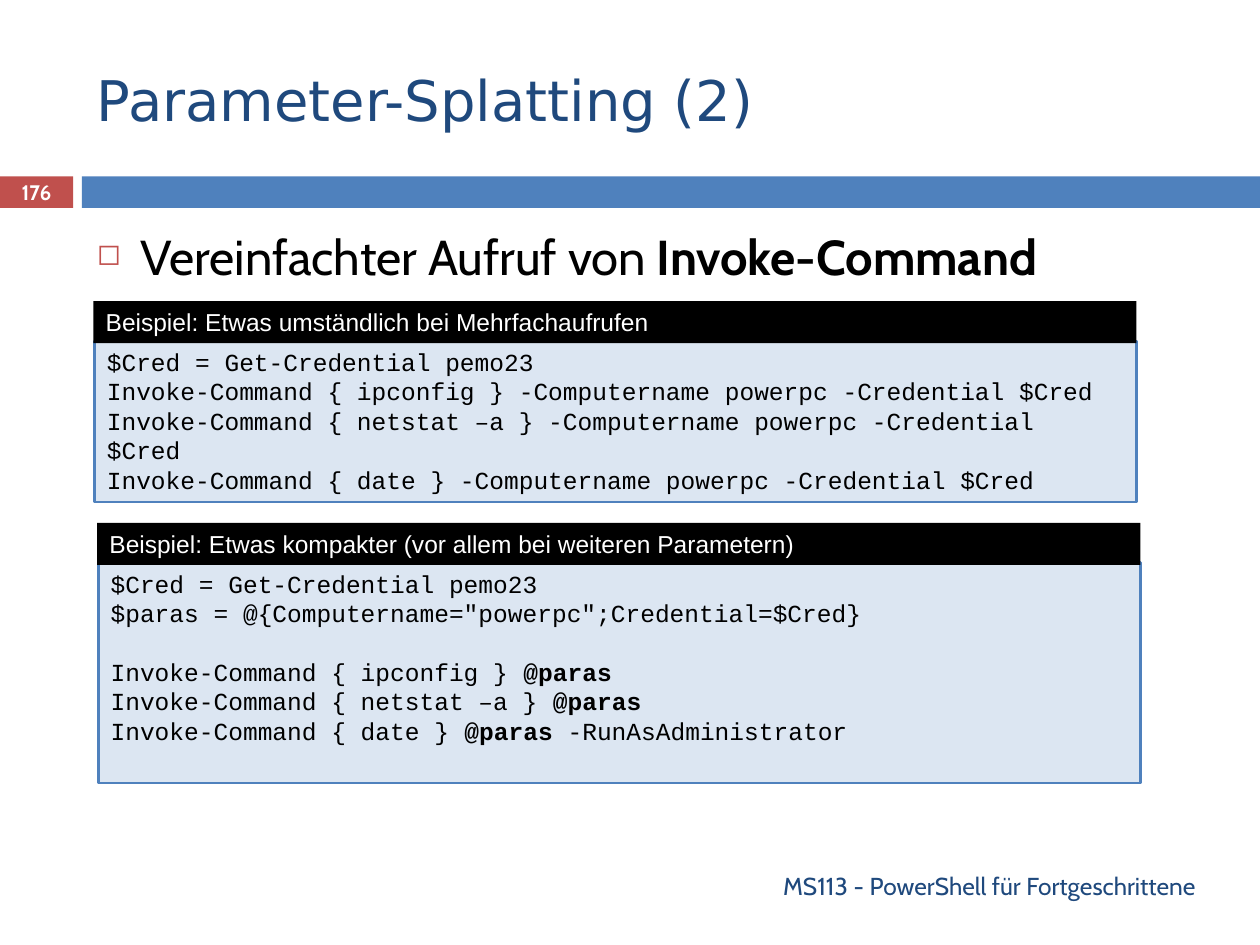
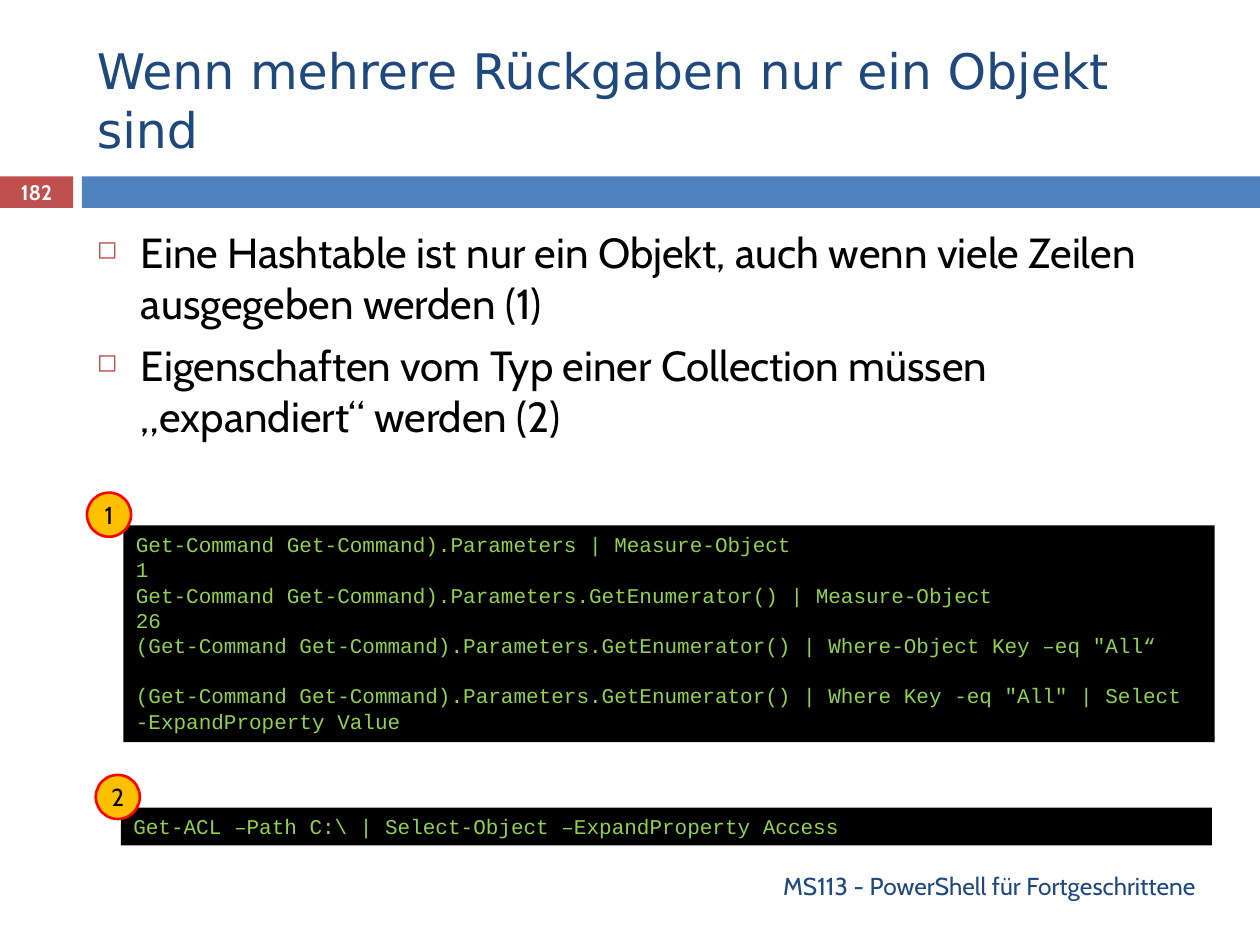
"""Build two slides on splatting and return objects."""
from dataclasses import dataclass
from typing import NamedTuple

from lxml import etree
from pptx import Presentation
from pptx.dml.color import RGBColor
from pptx.enum.shapes import MSO_SHAPE
from pptx.enum.text import MSO_ANCHOR, PP_ALIGN
from pptx.oxml.ns import qn
from pptx.util import Pt

RECT, OVAL = MSO_SHAPE.RECTANGLE, MSO_SHAPE.OVAL
TOP, MIDDLE = MSO_ANCHOR.TOP, MSO_ANCHOR.MIDDLE
LEFT, CENTER, RIGHT = PP_ALIGN.LEFT, PP_ALIGN.CENTER, PP_ALIGN.RIGHT


class Style(NamedTuple):
    """Font, size and colour of a text, with its leading if fixed."""
    font: str
    size: float
    color: str
    lead: float = 0


class Box(NamedTuple):
    """Place of an element in points."""
    left: float
    top: float
    width: float
    height: float

    def lengths(self) -> list:
        """Return the place as lengths."""
        return [Pt(side) for side in self]


@dataclass(frozen=True)
class Theme:
    """Colours, type and places that the slides share."""
    red: str = "C0504D"
    blue: str = "4F81BD"
    pale: str = "DCE6F2"
    black: str = "000000"
    amber: str = "FFC000"
    ring: str = "FF0000"
    title: Style = Style("DejaVu Sans", 32, "1F497D")
    long_title: Style = Style("DejaVu Sans", 28, "1F497D")
    body: Style = Style("Cabin", 28, "000000")
    dense: Style = Style("Cabin", 24, "000000")
    foot: Style = Style("Cabin", 14, "1F497D")
    page: Style = Style("Cabin", 12, "FFFFFF")
    badge: Style = Style("Cabin", 14, "000000")
    label: Style = Style("Arial", 14, "FFFFFF")
    code: Style = Style("Courier New", 14, "000000", 16.8)
    shell: Style = Style("Courier New", 12, "92D050", 14.4)
    line: float = 1.5
    indent: float = 25.2
    gap: float = 7
    tag: Box = Box(0, 100.8, 41.8, 18)
    band: Box = Box(46.8, 100.8, 673.2, 18)
    head_at: Box = Box(48.24, 18, 642.24, 77.76)
    body_at: Box = Box(48.24, 126, 642.24, 354.24)
    foot_at: Box = Box(48.24, 491.76, 642.24, 28.8)


THEME = Theme()


class Sample(NamedTuple):
    """Code panel under a black label."""
    left: float
    top: float
    height: float
    label: str
    code: list[str]


class Shell(NamedTuple):
    """Black console with a numbered badge at its corner."""
    box: Box
    badge: tuple[float, float]
    mark: str
    code: list[str]


class Page(NamedTuple):
    """Content of one slide."""
    number: int
    title: str
    head: Style
    points: list[str]
    body: Style
    blocks: list[Sample | Shell]


PAGES = [
    Page(176, "Parameter-Splatting (2)", THEME.title,
         ["Vereinfachter Aufruf von **Invoke-Command**"], THEME.body, [
             Sample(53.28, 172.08, 92.16, "Beispiel: Etwas umständlich bei Mehrfachaufrufen", [
                 "$Cred = Get-Credential pemo23",
                 "Invoke-Command { ipconfig } -Computername powerpc -Credential $Cred",
                 "Invoke-Command { netstat –a } -Computername powerpc -Credential $Cred",
                 "Invoke-Command { date } -Computername powerpc -Credential $Cred"]),
             Sample(55.44, 298.8, 126,
                    "Beispiel: Etwas kompakter (vor allem bei weiteren Parametern)", [
                        "$Cred = Get-Credential pemo23",
                        '$paras = @{Computername="powerpc";Credential=$Cred}',
                        "",
                        "Invoke-Command { ipconfig } **@paras**",
                        "Invoke-Command { netstat –a } **@paras**",
                        "Invoke-Command { date } **@paras** -RunAsAdministrator"])]),
    Page(182, "Wenn mehrere Rückgaben nur ein Objekt sind", THEME.long_title, [
        "Eine Hashtable ist nur ein Objekt, auch wenn viele Zeilen ausgegeben werden (1)",
        "Eigenschaften vom Typ einer Collection müssen „expandiert“ werden (2)"], THEME.dense, [
            Shell(Box(70.56, 300.24, 623.52, 123.84), (49.68, 281.52), "1", [
                "Get-Command Get-Command).Parameters | Measure-Object",
                "1",
                "Get-Command Get-Command).Parameters.GetEnumerator() | Measure-Object",
                "26",
                "(Get-Command Get-Command).Parameters.GetEnumerator() | Where-Object Key –eq \"All“",
                "",
                "(Get-Command Get-Command).Parameters.GetEnumerator() | Where Key -eq \"All\" "
                "| Select -ExpandProperty Value"]),
            Shell(Box(69.12, 461.52, 623.52, 21.6), (54.72, 442.8), "2", [
                "Get-ACL –Path C:\\ | Select-Object –ExpandProperty Access"])]),
]


def add_mark(para) -> None:
    """Give a paragraph a hanging square bullet."""
    props = para._p.get_or_add_pPr()
    props.set("marL", str(Pt(THEME.indent)))
    props.set("indent", str(-Pt(THEME.indent)))
    color = etree.SubElement(props, qn("a:buClr"))
    etree.SubElement(color, qn("a:srgbClr"), val=THEME.red)
    etree.SubElement(props, qn("a:buSzPct"), val="60000")
    etree.SubElement(props, qn("a:buChar"), char="◻")


def write(shape, lines: list[str], style: Style, align=LEFT, anchor=TOP,
          listed: bool = False) -> None:
    """Write lines; ** turns bold on and off, an empty line leaves a gap."""
    frame = shape.text_frame
    frame.word_wrap = True
    frame.vertical_anchor = anchor
    space, first = 0, True
    for line in lines:
        if not line:
            space = style.lead
            continue
        para = frame.paragraphs[0] if first else frame.add_paragraph()
        if listed:
            add_mark(para)
            space = 0 if first else THEME.gap
        para.alignment = align
        para.space_before = Pt(space)
        if style.lead:
            para.line_spacing = Pt(style.lead)
        font = para.font
        font.name, font.size = style.font, Pt(style.size)
        font.color.rgb = RGBColor.from_string(style.color)
        for spot, piece in enumerate(line.split("**")):
            if piece:
                run = para.add_run()
                run.text = piece
                if spot % 2:
                    run.font.bold = True
        space, first = 0, False


def add_text(slide, box: Box, lines: list[str], style: Style, **kind) -> None:
    """Add a text box."""
    write(slide.shapes.add_textbox(*box.lengths()), lines, style, **kind)


def add_form(slide, box: Box, fill: str, edge: str = "", form=RECT):
    """Add a flat shape with an optional outline."""
    shape = slide.shapes.add_shape(form, *box.lengths())
    shape.shadow.inherit = False
    shape.fill.solid()
    shape.fill.fore_color.rgb = RGBColor.from_string(fill)
    if edge:
        shape.line.color.rgb = RGBColor.from_string(edge)
        shape.line.width = Pt(THEME.line)
    else:
        shape.line.fill.background()
    return shape


def center(shape, text: str, style: Style) -> None:
    """Center a short text in a shape without insets."""
    frame = shape.text_frame
    frame.margin_left = frame.margin_right = frame.margin_top = frame.margin_bottom = Pt(0)
    write(shape, [text], style, align=CENTER, anchor=MIDDLE)


def draw_sample(slide, item: Sample) -> None:
    """Draw a code panel and its label."""
    panel = Box(item.left + 0.72, item.top + 22.68, 595.44, item.height)
    write(add_form(slide, panel, THEME.pale, THEME.blue), item.code, THEME.code)
    label = Box(item.left, item.top, 596.16, 24)
    write(add_form(slide, label, THEME.black), [item.label], THEME.label)


def draw_shell(slide, item: Shell) -> None:
    """Draw a console and its badge."""
    write(add_form(slide, item.box, THEME.black), item.code, THEME.shell)
    badge = add_form(slide, Box(*item.badge, 25.2, 25.2), THEME.amber, THEME.ring, OVAL)
    center(badge, item.mark, THEME.badge)


def draw_page(deck, page: Page) -> None:
    """Draw one slide with bands, title, footer and content."""
    slide = deck.slides.add_slide(deck.slide_layouts[6])
    tag = add_form(slide, THEME.tag, THEME.red)
    center(tag, f"**{page.number}**", THEME.page)
    add_form(slide, THEME.band, THEME.blue)
    add_text(slide, THEME.head_at, [page.title], page.head, anchor=MIDDLE)
    add_text(slide, THEME.foot_at, ["MS113 - PowerShell für Fortgeschrittene"],
             THEME.foot, align=RIGHT, anchor=MIDDLE)
    add_text(slide, THEME.body_at, page.points, page.body, listed=True)
    for item in page.blocks:
        if isinstance(item, Sample):
            draw_sample(slide, item)
        else:
            draw_shell(slide, item)


def main() -> None:
    """Build and save the deck."""
    deck = Presentation()
    deck.slide_width, deck.slide_height = Pt(720), Pt(540)
    for page in PAGES:
        draw_page(deck, page)
    deck.save("out.pptx")


if __name__ == "__main__":
    main()
